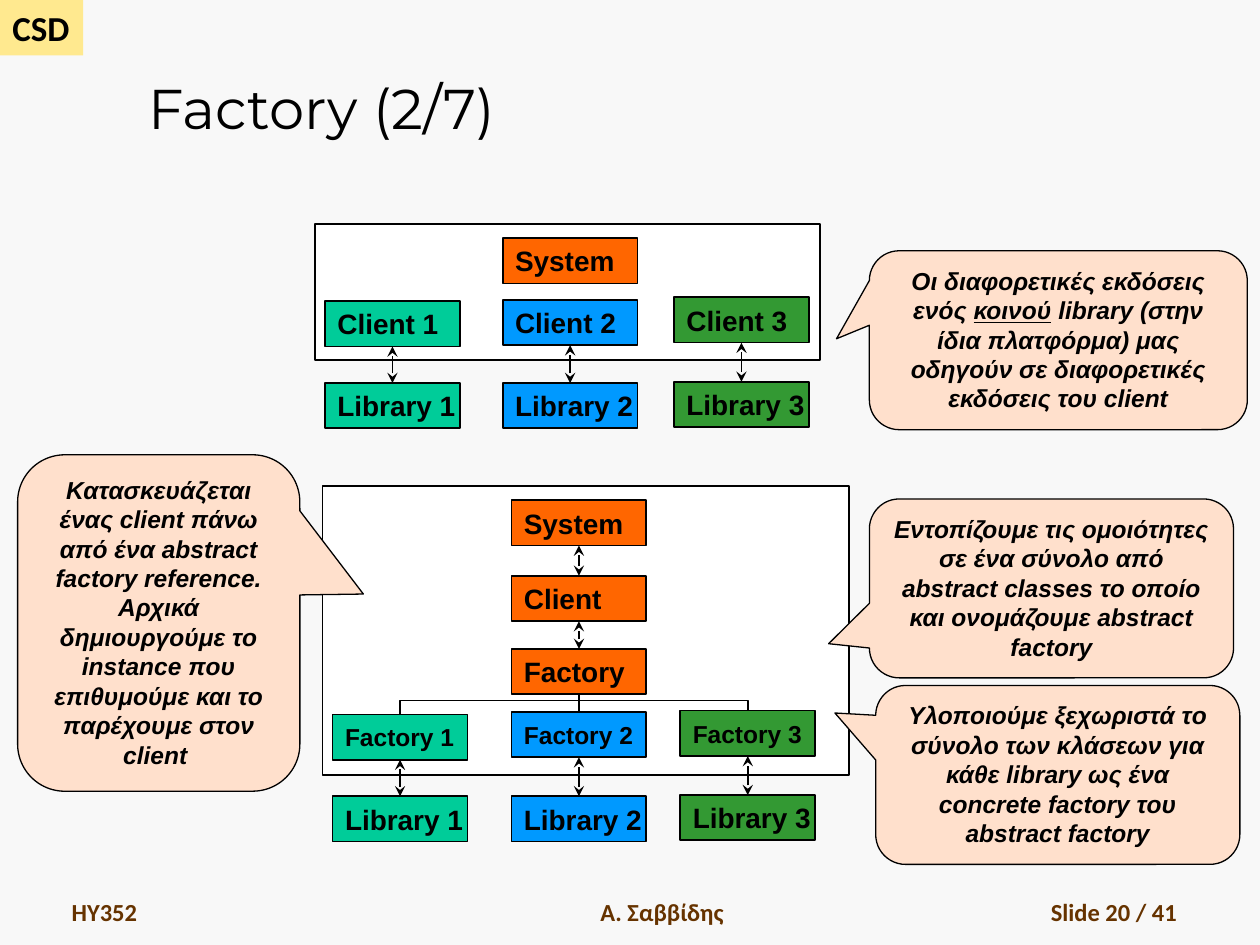
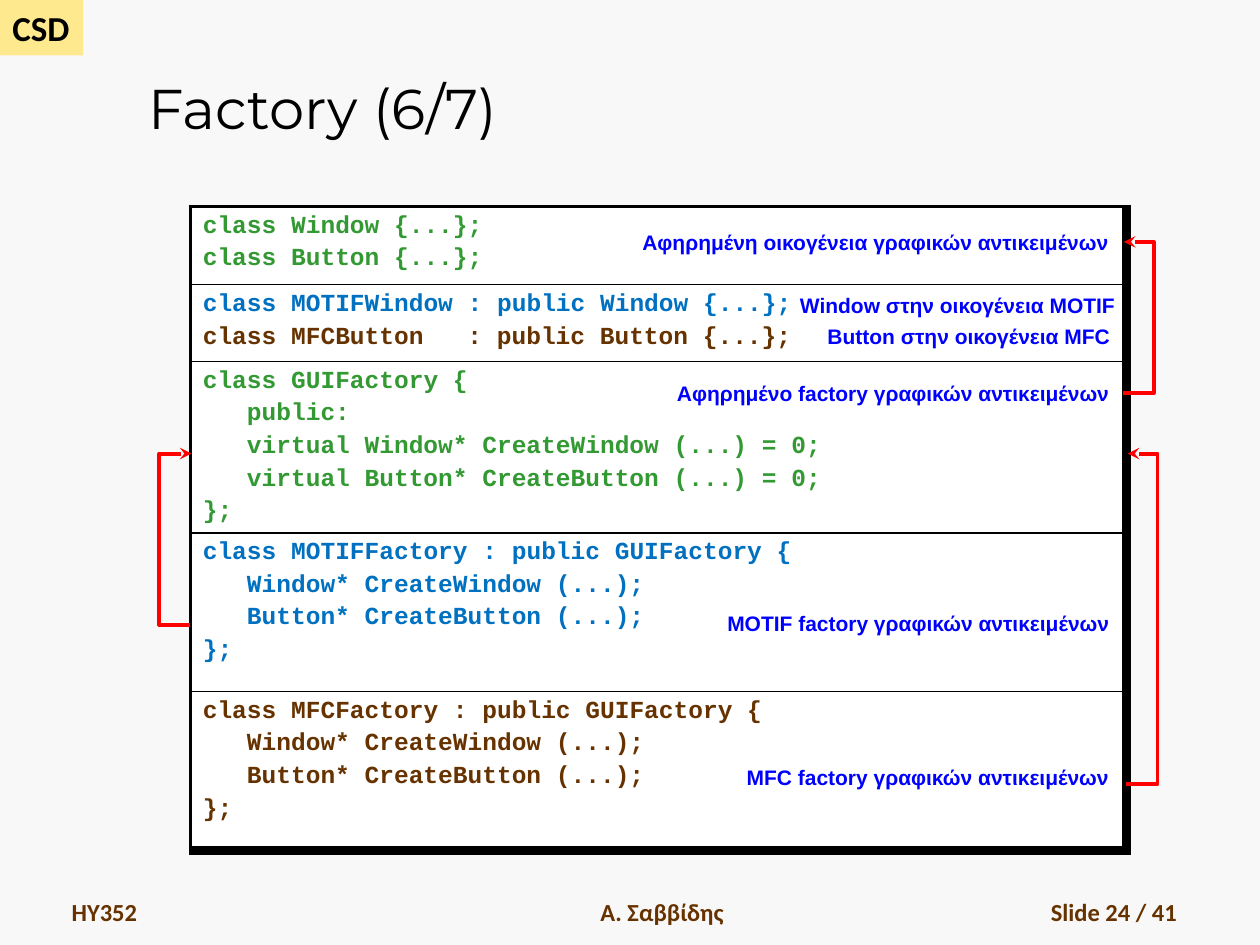
import pptx
import pptx.dml.color
import pptx.enum.shapes
import pptx.enum.text
import pptx.oxml
import pptx.oxml.ns
import pptx.util

Pt = pptx.util.Pt
SHAPE = pptx.enum.shapes.MSO_SHAPE
CONNECTOR = pptx.enum.shapes.MSO_CONNECTOR
ALIGN = pptx.enum.text.PP_ALIGN
ANCHOR = pptx.enum.text.MSO_ANCHOR
qn = pptx.oxml.ns.qn

# The slide is a grid of 100 columns by 75 rows; all places are in cells.
COLUMNS, ROWS = 100, 75
CELL = pptx.util.Inches(0.1)

COLOURS = {
    "paper": "F8F8F8", "white": "FFFFFF", "ink": "000000", "badge": "FFE98F",
    "brown": "663300", "orange": "FF6600", "teal": "00CC99", "sky": "0099FF",
    "green": "339933", "peach": "FFE0CC", "blue": "0070C0", "note": "0000FF",
    "red": "FF0000",
}
RGB = {name: pptx.dml.color.RGBColor.from_string(code)
       for name, code in COLOURS.items()}

# One entry per kind of text: font, colour, frame and paragraph formats.
LOOSE = {"word_wrap": False, "vertical_anchor": ANCHOR.MIDDLE}
FOOTER = {"font": {"name": "Calibri", "size": Pt(14), "bold": True},
          "colour": "brown",
          "frame": {"word_wrap": True, "vertical_anchor": ANCHOR.BOTTOM}}
THEME = {
    "title": {"font": {"name": "Montserrat", "size": Pt(32), "bold": False},
              "frame": {"word_wrap": True, "vertical_anchor": ANCHOR.BOTTOM,
                        "auto_size": pptx.enum.text.MSO_AUTO_SIZE.NONE},
              "para": {"alignment": ALIGN.LEFT}},
    "badge": {"font": {"name": "Calibri", "size": Pt(20), "bold": True},
              "frame": {"word_wrap": False, "vertical_anchor": ANCHOR.TOP},
              "para": {"alignment": ALIGN.LEFT}},
    "footer left": {**FOOTER, "para": {"alignment": ALIGN.LEFT}},
    "footer centre": {**FOOTER, "para": {"alignment": ALIGN.CENTER}},
    "footer right": {**FOOTER, "para": {"alignment": ALIGN.RIGHT}},
    "node": {"font": {"name": "Arial", "size": Pt(16), "bold": True},
             "frame": LOOSE, "para": {"alignment": ALIGN.LEFT}},
    "small node": {"font": {"name": "Arial", "size": Pt(14), "bold": True},
                   "frame": LOOSE, "para": {"alignment": ALIGN.LEFT}},
    "callout": {"font": {"name": "Arial", "size": Pt(14), "bold": True,
                         "italic": True},
                "frame": {"word_wrap": True, "vertical_anchor": ANCHOR.TOP},
                "para": {"alignment": ALIGN.CENTER}},
    "label": {"font": {"name": "Arial", "size": Pt(12), "bold": True},
              "colour": "note",
              "frame": {"word_wrap": False, "vertical_anchor": ANCHOR.TOP},
              "para": {"alignment": ALIGN.CENTER}},
    "code": {"font": {"name": "Courier New", "size": Pt(14), "bold": True},
             "frame": {"word_wrap": True},
             "para": {"alignment": ALIGN.LEFT, "space_before": Pt(2.8)}},
}


def write(frame, lines, style, colours=None):
    """Fill a text frame, one paragraph a line; _marks_ underline a span."""
    look = THEME[style]
    for name, value in look["frame"].items():
        setattr(frame, name, value)
    for index, line in enumerate(lines):
        para = frame.add_paragraph() if index else frame.paragraphs[0]
        for name, value in look["para"].items():
            setattr(para, name, value)
        colour = colours[index] if colours else look.get("colour", "ink")
        for part, text in enumerate(line.split("_")):
            span = para.add_run()
            span.text = text
            for name, value in look["font"].items():
                setattr(span.font, name, value)
            span.font.color.rgb = RGB[colour]
            if part % 2:
                span.font.underline = True


def connect(page, start, end, ends=(), colour="ink", width=1, bend=None, turn=0):
    """Draw a line between two grid points, bent when a bend share is given."""
    kind = CONNECTOR.STRAIGHT if bend is None else CONNECTOR.ELBOW
    line = page.shapes.add_connector(
        kind, *[round(value * CELL) for value in (*start, *end)])
    line.line.color.rgb = RGB[colour]
    line.line.width = Pt(width)
    properties = line.element.spPr
    for name in ends:
        tip = pptx.oxml.parse_xml(
            f'<a:{name} {pptx.oxml.ns.nsdecls("a")} type="stealth"/>')
        properties.find(qn("a:ln")).append(tip)
    if bend is not None:
        guides = properties.find(qn("a:prstGeom")).get_or_add_avLst()
        guide = guides.makeelement(
            qn("a:gd"), {"name": "adj1", "fmla": f"val {round(bend * 100000)}"})
        guides.append(guide)
    if turn:
        properties.find(qn("a:xfrm")).set("rot", str(turn * 60000))
    properties.append(properties.makeelement(qn("a:effectLst"), {}))


deck = pptx.Presentation()
deck.slide_width, deck.slide_height = COLUMNS * CELL, ROWS * CELL
paper = deck.slide_master.background.fill
paper.solid()
paper.fore_color.rgb = RGB["paper"]

# Boxes are (shape, place, fill, line width, text lines, style, adjustments).
NODE_WIDTH, NODE_HEIGHT = 10.7, 3.6
HALF = NODE_WIDTH / 2
BOTH = ("headEnd", "tailEnd")
VARIANTS = ("teal", "sky", "green")
diagram, links = [], []

# (frame, variant name, style, columns, variant rows, library rows, stack)
groups = [
    ((25, 17.8, 40.1, 10.8), "Client", "node", (25.8, 39.9, 53.5),
     (23.9, 23.8, 23.6), (30.4, 30.4, 30.3), [("System", 18.9)]),
    ((25.6, 38.6, 41.8, 22.9), "Factory", "small node", (26.4, 40.6, 54),
     (56.7, 56.5, 56.4), (63.2, 63.2, 63.1),
     [("System", 39.7), ("Client", 45.7), ("Factory", 51.5)]),
]
for frame, name, style, columns, tops, library_tops, stack in groups:
    diagram.append((SHAPE.RECTANGLE, frame, "white", 1, [], "node", ()))
    middle = columns[1]
    for level, (text, top) in enumerate(stack):
        diagram.append((SHAPE.RECTANGLE, (middle, top, NODE_WIDTH, NODE_HEIGHT),
                        "orange", 1, [text], "node", ()))
        if level:
            above = stack[level - 1][1] + NODE_HEIGHT
            links.append(((middle + HALF, top), (middle + HALF, above), BOTH))
    for number, (colour, left, top, library_top) in enumerate(
            zip(VARIANTS, columns, tops, library_tops), 1):
        for text, row, look in ((name, top, style),
                                ("Library", library_top, "node")):
            diagram.append((SHAPE.RECTANGLE, (left, row, NODE_WIDTH, NODE_HEIGHT),
                            colour, 1, [f"{text} {number}"], look, ()))
        links.append(((left + HALF, library_top),
                      (left + HALF, top + NODE_HEIGHT), BOTH))

callouts = [
    ((69, 19.9, 30, 14.2), (-0.587, -0.008),
     "Οι διαφορετικές εκδόσεις ενός _κοινού_ library (στην ίδια πλατφόρμα) "
     "μας οδηγούν σε διαφορετικές εκδόσεις του client"),
    ((69, 39.6, 28.9, 14.2), (-0.612, 0.309),
     "Εντοπίζουμε τις ομοιότητες σε ένα σύνολο από abstract classes το οποίο "
     "και ονομάζουμε abstract factory"),
    ((69.5, 54.4, 28.9, 14.2), (-0.612, -0.346),
     "Υλοποιούμε ξεχωριστά το σύνολο των κλάσεων για κάθε library ως ένα "
     "concrete factory του abstract factory"),
    ((1.4, 36.1, 22.4, 26.7), (0.725, -0.086),
     "Κατασκευάζεται ένας client πάνω από ένα abstract factory reference. "
     "Αρχικά δημιουργούμε το instance που επιθυμούμε και το παρέχουμε στον "
     "client "),
]
for place, tip, text in callouts:
    diagram.append((SHAPE.ROUNDED_RECTANGULAR_CALLOUT, place, "peach", 0.75,
                    [text], "callout", (*tip, 0.167)))

labels = [
    (None, place, None, 0, [text], "label", ()) for place, text in [
        ((49.9, 17.7, 39.2, 3), "Αφηρημένη οικογένεια γραφικών αντικειμένων"),
        ((62.4, 22.7, 27.2, 3), "Window στην οικογένεια MOTIF"),
        ((52.7, 29.7, 36.4, 3), "Αφηρημένο factory γραφικών αντικειμένων"),
        ((64.6, 25.2, 24.6, 3), "Button στην οικογένεια MFC"),
        ((56.7, 48, 32.4, 3), "MOTIF factory γραφικών αντικειμένων"),
        ((58.2, 60.2, 30.9, 3), "MFC factory γραφικών αντικειμένων"),
    ]
]

# Code rows: height, lines and the colour of each line. Indents count letters.
LETTER = Pt(8.4)
INDENT, COLON_STOP = 3 * LETTER, 18 * LETTER
MEMBERS = ["Window* CreateWindow (...);", "Button* CreateButton (...);"]
code_rows = [
    (6.2, ["class Window {...};", "class Button {...};"], ["green"] * 2),
    (6.1, ["class MOTIFWindow : public Window {...};",
           "class MFCButton\t: public Button {...};"], ["blue", "brown"]),
    (13.6, ["class GUIFactory {", "public:",
            "virtual Window* CreateWindow (...) = 0;",
            "virtual Button* CreateButton (...) = 0;", "};"], ["green"] * 5),
    (12.6, ["class MOTIFFactory : public GUIFactory {", *MEMBERS, "};"],
     ["blue"] * 4),
    (12.6, ["class MFCFactory : public GUIFactory {", *MEMBERS, "};"],
     ["brown"] * 4),
]

pages = []
for title, number, boxes in (("Factory (2/7)", 20, diagram),
                             ("Factory (6/7)", 24, labels)):
    page = deck.slides.add_slide(deck.slide_layouts[5])
    pages.append(page)
    heading = page.shapes.title
    for name, value in zip(("left", "top", "width", "height"),
                           (10.8, 1.7, 89.2, 10)):
        setattr(heading, name, round(value * CELL))
    write(heading.text_frame, [title], "title")

    if boxes is labels:
        height = sum(row[0] for row in code_rows)
        table = page.shapes.add_table(
            len(code_rows), 1, *[round(value * CELL)
                                 for value in (15.1, 16.4, 74.3, height)]).table
        table.first_row = table.horz_banding = False
        last = len(code_rows) - 1
        for index, (height, lines, colours) in enumerate(code_rows):
            table.rows[index].height = round(height * CELL)
            cell = table.cell(index, 0)
            cell.fill.solid()
            cell.fill.fore_color.rgb = RGB["white"]
            write(cell.text_frame, lines, "code", colours)
            for para, line in zip(cell.text_frame.paragraphs, lines):
                properties = para._p.get_or_add_pPr()
                if not line.startswith(("class", "}")):
                    properties.set("marL", str(INDENT))
                if "\t" in line:
                    properties.append(pptx.oxml.parse_xml(
                        f'<a:tabLst {pptx.oxml.ns.nsdecls("a")}>'
                        f'<a:tab pos="{COLON_STOP}" algn="l"/></a:tabLst>'))
            borders = {"lnL": 2.25, "lnR": 6, "lnT": 1 if index else 2.25,
                       "lnB": 6 if index == last else 1}
            for place, (side, width) in enumerate(borders.items()):
                cell._tc.get_or_add_tcPr().insert(place, pptx.oxml.parse_xml(
                    f'<a:{side} {pptx.oxml.ns.nsdecls("a")} w="{Pt(width)}">'
                    f'<a:solidFill><a:srgbClr val="{COLOURS["ink"]}"/>'
                    f'</a:solidFill></a:{side}>'))

    footers = [
        (None, (4.7, 69, 21.9, 5), None, 0, ["HY352"], "footer left", ()),
        (None, (36.7, 69, 31.7, 5), None, 0, ["Α. Σαββίδης"], "footer centre", ()),
        (None, (73.6, 69, 20.8, 5), None, 0, [f"Slide {number} / 41"],
         "footer right", ()),
    ]
    for kind, place, fill, width, lines, style, adjustments in boxes + footers:
        place = [round(value * CELL) for value in place]
        if kind is None:
            box = page.shapes.add_textbox(*place)
        else:
            box = page.shapes.add_shape(kind, *place)
            box.shadow.inherit = False
            box.fill.solid()
            box.fill.fore_color.rgb = RGB[fill]
            box.line.color.rgb = RGB["ink"]
            box.line.width = Pt(width)
            for index, value in enumerate(adjustments):
                box.adjustments[index] = value
        write(box.text_frame, lines, style)

# The badge belongs to the master, so every slide shows it.
badge = pages[0].shapes.add_shape(
    SHAPE.RECTANGLE, 0, 0, round(6.6 * CELL), round(4.4 * CELL))
badge.shadow.inherit = False
badge.fill.solid()
badge.fill.fore_color.rgb = RGB["badge"]
badge.line.fill.background()
write(badge.text_frame, ["CSD"], "badge")
deck.slide_master.shapes.element.append(badge.element)

for start, end, ends in links:
    connect(pages[0], start, end, ends)
connect(pages[0], (45.95, 56.5), (45.95, 55.1))
# A quarter turn lays the bracket flat above the three factories.
connect(pages[0], (45.4, 42.7), (45.7, 70.3), bend=3.5, turn=270)

# Inheritance arrows leave the table sideways by 25 times their own width.
for left, bottom, top, bend in ((89.1, 31.2, 19.2, 25),
                                (15.1, 49.6, 36, -25),
                                (89.4, 62.2, 36, 25)):
    connect(pages[1], (left, bottom), (left + 0.1, top), ("tailEnd",),
            "red", 2.25, bend)

deck.save("out.pptx")
